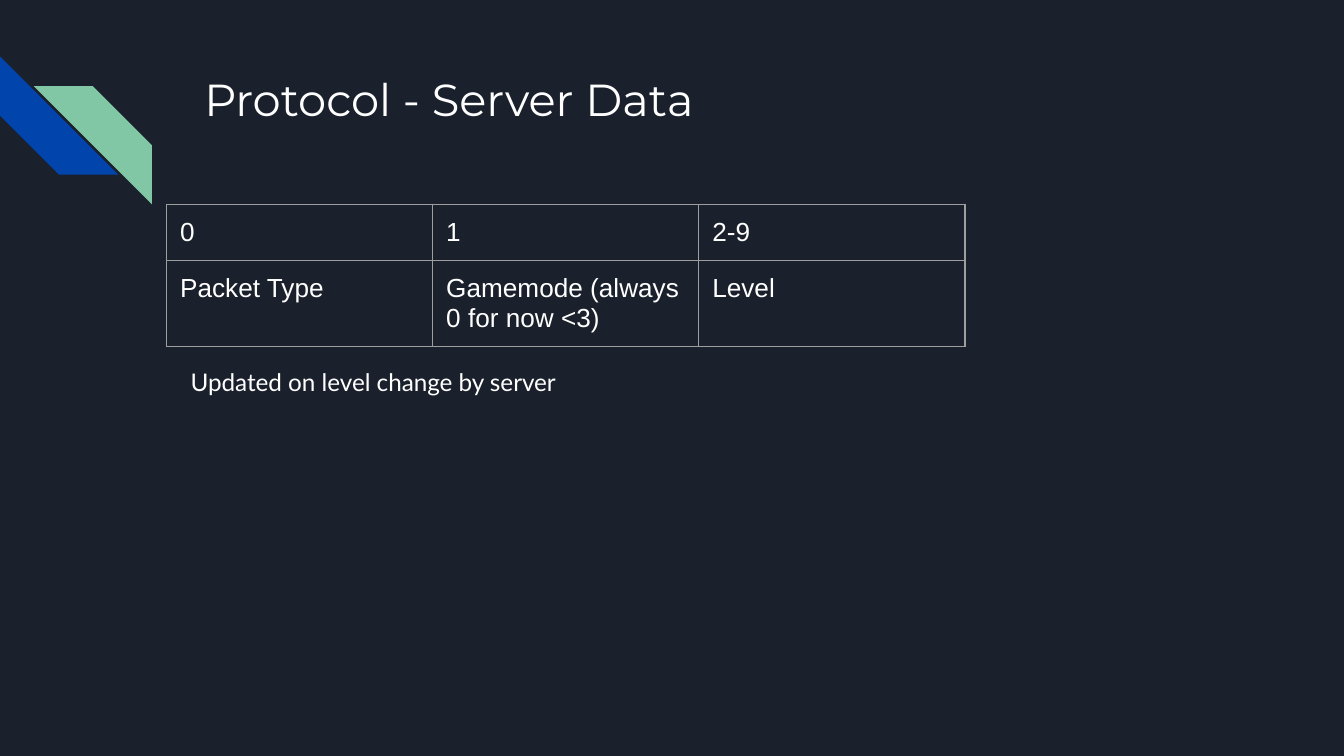
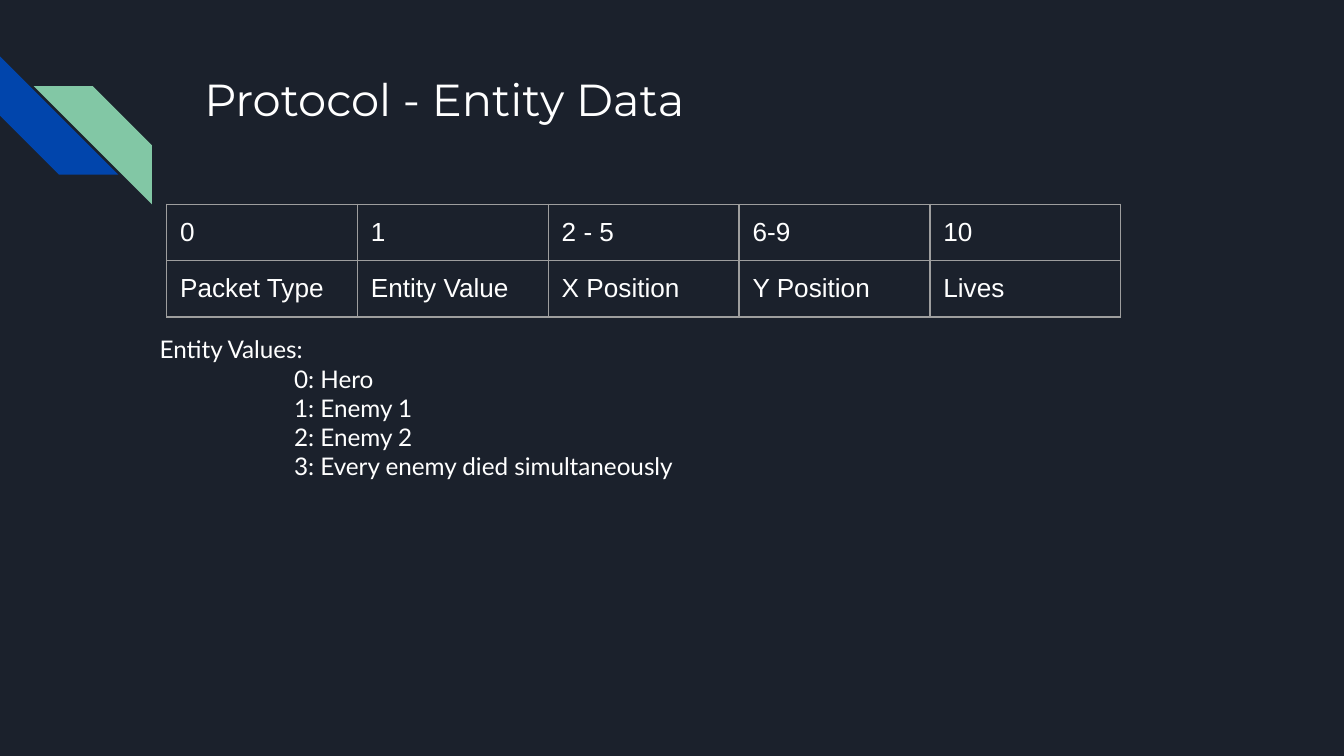
"""Builds two slides that describe the packets of a game protocol."""
from lxml import etree
from pptx import Presentation
from pptx.dml.color import RGBColor
from pptx.enum.shapes import MSO_SHAPE
from pptx.enum.text import MSO_ANCHOR, MSO_AUTO_SIZE, PP_ALIGN
from pptx.oxml.ns import qn
from pptx.util import Inches, Pt

PAGES = [
    {
        "title": "Protocol - Server Data",
        "bytes": ["0", "1", "2-9"],
        "fields": ["Packet Type", "Gamemode (always 0 for now <3)", "Level"],
        "column": 1.98,
        "note_at": (1.32, 2.63),
        "notes": [("Updated on level change by server", 0)],
    },
    {
        "title": "Protocol - Entity Data",
        "bytes": ["0", "1", "2 - 5", "6-9", "10"],
        "fields": ["Packet Type", "Entity Value", "X Position", "Y Position", "Lives"],
        "column": 1.42,
        "note_at": (1.09, 2.39),
        "notes": [
            ("Entity Values:", 0),
            ("0: Hero", 1),
            ("1: Enemy 1", 1),
            ("2: Enemy 2", 1),
            ("3: Every enemy died simultaneously", 1),
        ],
    },
]

COLORS = {"back": "1B212C", "blue": "0145AC", "green": "82C7A5",
          "text": "FFFFFF", "border": "9E9E9E"}
FONTS = {
    "title": {"name": "Montserrat", "size": Pt(24), "bold": False},
    "cell": {"name": "Arial", "size": Pt(14), "bold": False},
    "note": {"name": "Lato", "size": Pt(13), "bold": False},
}
WIDTH = 10
HEIGHT = WIDTH * 9 / 16
TITLE_BOX = (1.42, 0.43, 7.7, 1)
TABLE_LEFT, TABLE_TOP, ROW = 1.24, 1.52, 0.42
NOTE_SIZE = (5.51, 1)
STRIPE = 0.88
STRIPES = [("blue", 0, 0.42, {"rot": "16200000"}),
           ("green", 0.25, 0.64, {"flipH": "1"})]
INSET = Inches(0.1)
CELL = {"margin_left": INSET, "margin_right": INSET, "margin_top": INSET,
        "margin_bottom": INSET, "vertical_anchor": MSO_ANCHOR.TOP}
FRAME = {**CELL, "word_wrap": True, "auto_size": MSO_AUTO_SIZE.NONE}


def color(name):
    return RGBColor.from_string(COLORS[name])


def apply(target, values):
    for key, value in values.items():
        setattr(target, key, value)


def inches(*lengths):
    return [Inches(length) for length in lengths]


def write(frame, lines, style):
    for index, (text, level) in enumerate(lines):
        para = frame.add_paragraph() if index else frame.paragraphs[0]
        para.alignment = PP_ALIGN.LEFT
        if level:
            para._p.get_or_add_pPr().set("marL", str(Inches(level)))
        span = para.add_run()
        span.text = text
        apply(span.font, FONTS[style])
        span.font.color.rgb = color("text")


def add_stripes(page, layout):
    for index, (name, left, top, turn) in enumerate(STRIPES):
        stripe = page.shapes.add_shape(
            MSO_SHAPE.DIAGONAL_STRIPE, *inches(left, top, STRIPE, STRIPE))
        stripe.shadow.inherit = False
        stripe.fill.solid()
        stripe.fill.fore_color.rgb = color(name)
        stripe.line.fill.background()
        for key, value in turn.items():
            stripe.element.spPr.find(qn("a:xfrm")).set(key, value)
        stripe.element.nvSpPr.cNvPr.set("id", str(100 + index))
        layout.shapes.element.insert(2 + index, stripe.element)


def add_borders(cell):
    props = cell._tc.get_or_add_tcPr()
    for index, side in enumerate(("lnL", "lnR", "lnT", "lnB")):
        line = etree.Element(qn("a:" + side), w=str(Pt(0.75)))
        fill = etree.SubElement(line, qn("a:solidFill"))
        etree.SubElement(fill, qn("a:srgbClr"), val=COLORS["border"])
        props.insert(index, line)


def add_packet(page, rows, column):
    count = len(rows[0])
    table = page.shapes.add_table(
        len(rows), count,
        *inches(TABLE_LEFT, TABLE_TOP, column * count, ROW * len(rows))).table
    apply(table, {"first_row": False, "horz_banding": False})
    for row_index, row in enumerate(rows):
        for column_index, text in enumerate(row):
            cell = table.cell(row_index, column_index)
            apply(cell, CELL)
            cell.fill.background()
            add_borders(cell)
            write(cell.text_frame, [(text, 0)], "cell")


def add_page(deck, layout, content):
    page = deck.slides.add_slide(layout)
    title = page.shapes.title
    apply(title, dict(zip(("left", "top", "width", "height"), inches(*TITLE_BOX))))
    apply(title.text_frame, FRAME)
    write(title.text_frame, [(content["title"], 0)], "title")
    add_packet(page, [content["bytes"], content["fields"]], content["column"])
    box = page.shapes.add_textbox(*inches(*content["note_at"], *NOTE_SIZE))
    apply(box.text_frame, FRAME)
    write(box.text_frame, content["notes"], "note")
    return page


def main():
    deck = Presentation()
    deck.slide_width, deck.slide_height = inches(WIDTH, HEIGHT)
    layout = deck.slide_layouts[5]
    layout.background.fill.solid()
    layout.background.fill.fore_color.rgb = color("back")
    pages = [add_page(deck, layout, content) for content in PAGES]
    add_stripes(pages[0], layout)
    deck.save("out.pptx")


if __name__ == "__main__":
    main()
